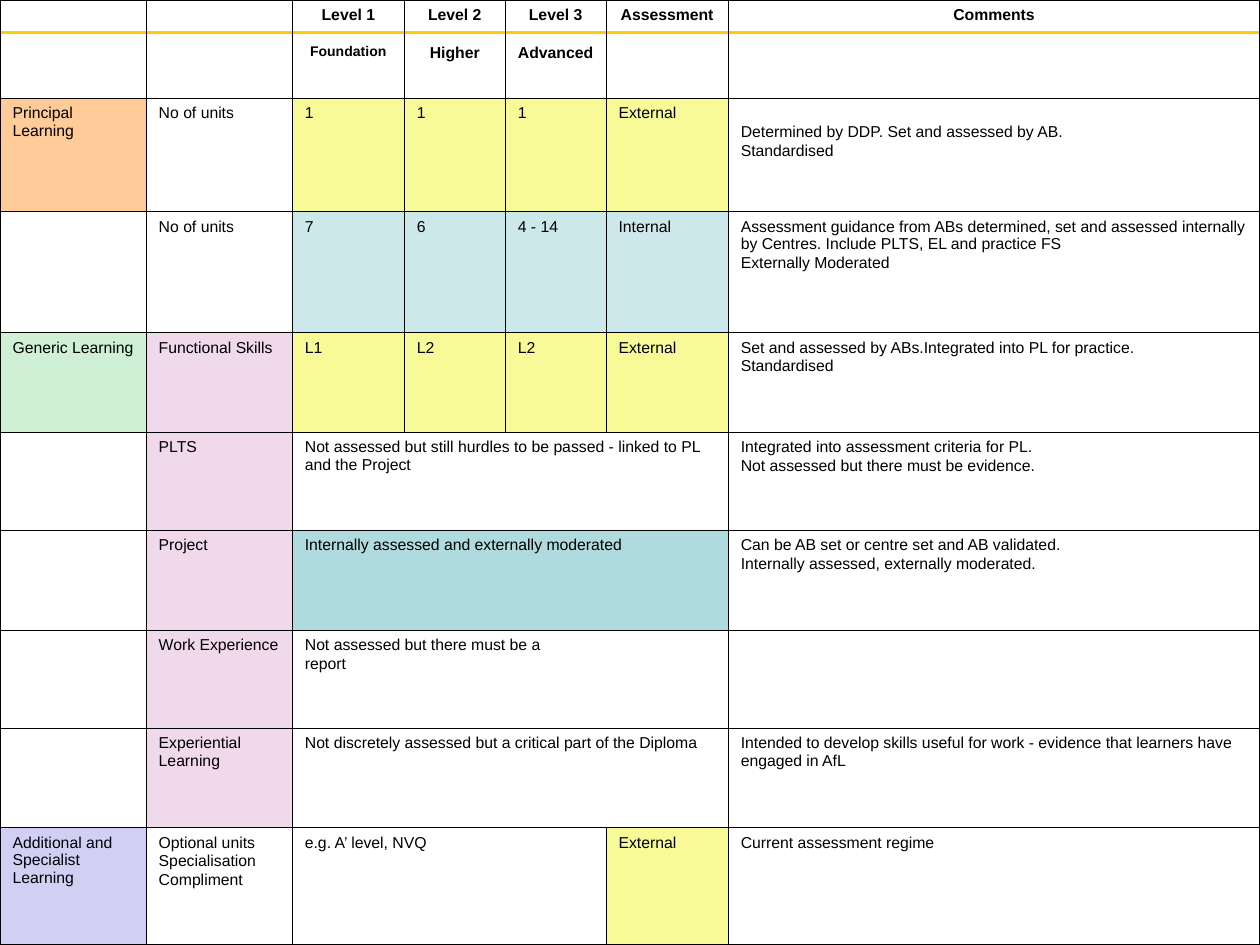
"""Build the slide that sets out how each part of the Diploma is assessed."""
import dataclasses

import lxml.etree
import pptx
import pptx.dml.color
import pptx.enum.shapes
import pptx.enum.text
import pptx.oxml.ns
import pptx.util

Inches = pptx.util.Inches
Pt = pptx.util.Pt
RGBColor = pptx.dml.color.RGBColor
qn = pptx.oxml.ns.qn


@dataclasses.dataclass(frozen=True)
class Theme:
    font: str = "Arial"
    ink: str = "000000"
    rule: str = "FFCC00"
    principal: str = "FF9933"
    generic: str = "A1E3AA"
    additional: str = "A6A1EB"
    strand: str = "E0B4D9"
    external: str = "F1F630"
    internal: str = "9DD3D7"
    project: str = "B0DBDE"
    body_size: float = 9
    small_size: float = 8
    inner_border: float = 0.45
    outer_border: float = 1.08


theme = Theme()
NO_STYLE = "{2D5ABB26-0587-4C30-8999-92F81FD0307C}"
column_widths = [1.16, 1.16, 0.89, 0.8, 0.8, 0.97, 4.22]
row_heights = [0.78, 0.9, 0.96, 0.79, 0.78, 0.79, 0.78, 0.79, 0.93]

rows = [
    ["", "", "Level 1\nFoundation", "Level 2\nHigher", "Level 3\nAdvanced", "Assessment", "Comments"],
    ["Principal Learning", "No of units", "1", "1", "1", "External",
     "Determined by DDP. Set and assessed by AB.\nStandardised"],
    ["", "No of units", "7", "6", "4 - 14", "Internal",
     "Assessment guidance from ABs determined, set and assessed internally by Centres. "
     "Include PLTS, EL and practice FS\nExternally Moderated"],
    ["Generic Learning", "Functional Skills", "L1", "L2", "L2", "External",
     "Set and assessed by ABs.Integrated into PL for practice.\nStandardised"],
    ["", "PLTS", "Not assessed but still hurdles to be passed - linked to PL and the Project",
     None, None, None,
     "Integrated into assessment criteria for PL.\nNot assessed but there must be evidence."],
    ["", "Project", "Internally assessed and externally moderated", None, None, None,
     "Can be AB set or centre set and AB validated.\nInternally assessed, externally moderated."],
    ["", "Work Experience", "Not assessed but there must be a\nreport", None, None, None, ""],
    ["", "Experiential Learning", "Not discretely assessed but a critical part of the Diploma",
     None, None, None,
     "Intended to develop skills useful for work - evidence that learners have engaged in AfL"],
    ["Additional and Specialist Learning", "Optional units\nSpecialisation\nCompliment",
     "e.g. A’ level, NVQ", None, None, "External", "Current assessment regime"],
]

fills = {(1, 0): theme.principal, (3, 0): theme.generic, (8, 0): theme.additional,
         (5, 2): theme.project, (8, 5): theme.external}
fills.update({(row, 1): theme.strand for row in range(3, 8)})
for row, color in ((1, theme.external), (2, theme.internal), (3, theme.external)):
    fills.update({(row, column): color for column in range(2, 6)})


def add_borders(cell, widths):
    properties = cell._tc.get_or_add_tcPr()
    for side, width in widths.items():
        line = lxml.etree.SubElement(properties, qn(f"a:ln{side}"), w=str(int(Pt(width))))
        solid = lxml.etree.SubElement(line, qn("a:solidFill"))
        lxml.etree.SubElement(solid, qn("a:srgbClr"), val=theme.ink)


def fill_cell(cell, color):
    if color is None:
        cell.fill.background()
        return
    cell.fill.solid()
    cell.fill.fore_color.rgb = RGBColor.from_string(color)
    if color != theme.project:
        value = cell._tc.tcPr.find(f"{qn('a:solidFill')}/{qn('a:srgbClr')}")
        lxml.etree.SubElement(value, qn("a:alpha"), val="50000")


presentation = pptx.Presentation()
presentation.slide_width = Inches(10)
presentation.slide_height = Inches(7.5)
slide = presentation.slides.add_slide(presentation.slide_layouts[6])

rule = slide.shapes.add_connector(
    pptx.enum.shapes.MSO_CONNECTOR.STRAIGHT, Inches(0), Inches(0.26), Inches(10), Inches(0.26))
rule.line.color.rgb = RGBColor.from_string(theme.rule)
rule.line.width = Pt(1.84)
lxml.etree.SubElement(rule._element.spPr, qn("a:effectLst"))

table = slide.shapes.add_table(
    len(rows), len(column_widths), Inches(0), Inches(0), Inches(10), Inches(7.5)).table
table.first_row = False
table.horz_banding = False
table._tbl.tblPr.find(qn("a:tableStyleId")).text = NO_STYLE
for column, width in zip(table.columns, column_widths):
    column.width = Inches(width)
for row, height in zip(table.rows, row_heights):
    row.height = Inches(height)

for row_index, texts in enumerate(rows):
    is_header = row_index == 0
    for column_index, text in enumerate(texts):
        if text is None:
            continue
        cell = table.cell(row_index, column_index)
        last_column = column_index
        while last_column + 1 < len(texts) and texts[last_column + 1] is None:
            last_column += 1
        if last_column > column_index:
            cell.merge(table.cell(row_index, last_column))
        at_edge = {"L": column_index == 0, "R": last_column == len(texts) - 1,
                   "T": is_header, "B": row_index == len(rows) - 1}
        add_borders(cell, {side: theme.outer_border if edge else theme.inner_border
                           for side, edge in at_edge.items()})
        fill_cell(cell, fills.get((row_index, column_index)))
        cell.margin_left = cell.margin_right = Inches(0.1)
        cell.margin_top = Inches(0.2 if text.startswith("Determined") else 0.05)
        cell.margin_bottom = Inches(0.05)
        cell.text_frame.text = text
        for index, paragraph in enumerate(cell.text_frame.paragraphs):
            if is_header:
                paragraph.alignment = pptx.enum.text.PP_ALIGN.CENTER
            if index:
                paragraph.space_before = Pt(11.4 if is_header else 0.5)
            for run in paragraph.runs:
                run.font.name = theme.font
                run.font.size = Pt(theme.small_size if run.text == "Foundation" else theme.body_size)
                run.font.bold = is_header
                run.font.color.rgb = RGBColor.from_string(theme.ink)

presentation.save("out.pptx")
